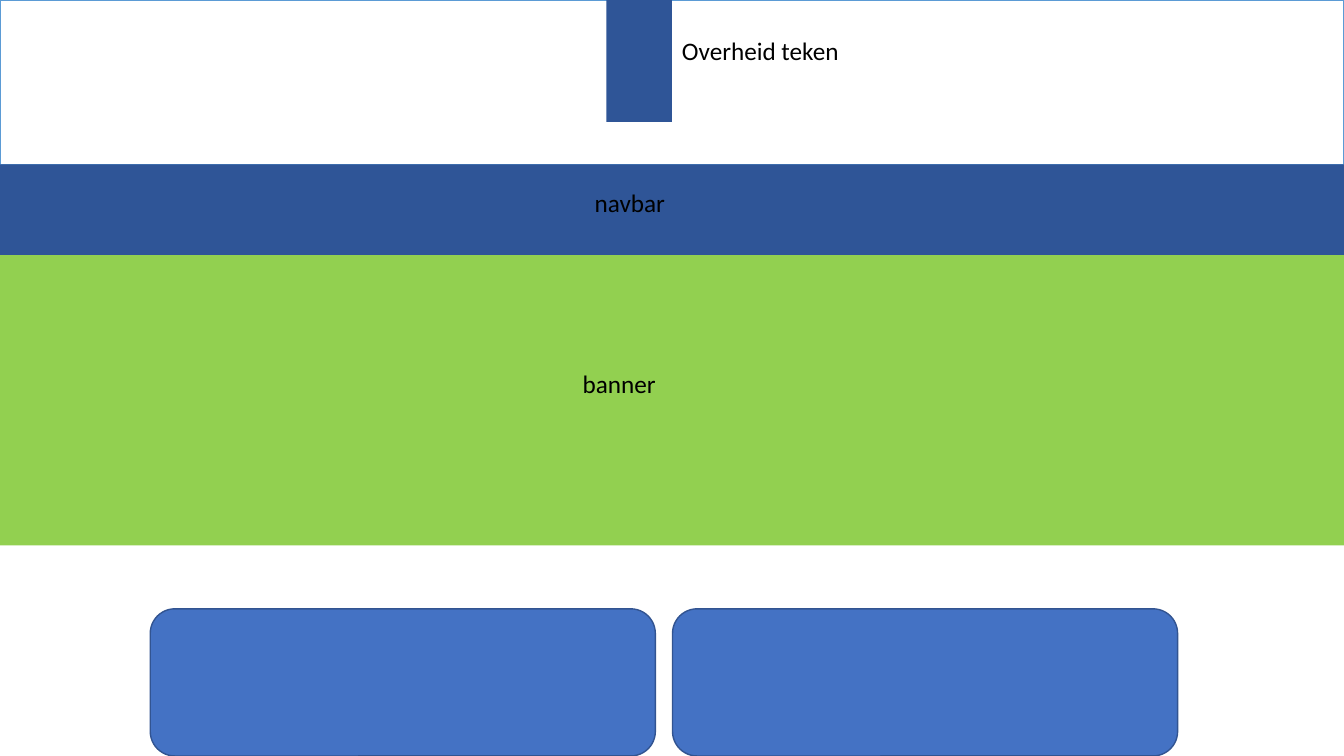
from pptx import Presentation
from pptx.dml.color import RGBColor
from pptx.enum.shapes import MSO_SHAPE as SHAPE
from pptx.util import Inches, Pt

W, H = 13.33, 7.5
NAVY, GREEN, BLUE = "2F5597", "92D050", "4472C4"


def color(hex_string):
    """Turn a hex string into a colour."""
    return RGBColor.from_string(hex_string)


def block(s, box, fill, line=None, kind=SHAPE.RECTANGLE):
    """Draw a filled shape in the box, outlined if a line colour is given."""
    sp = s.shapes.add_shape(kind, *map(Inches, box))
    sp.shadow.inherit = False
    sp.fill.solid()
    sp.fill.fore_color.rgb = color(fill)
    if line:
        sp.line.color.rgb = color(line)
        sp.line.width = Pt(1)
    else:
        sp.line.fill.background()


def label(s, x, y, w, text):
    """Write a one-line label."""
    tf = s.shapes.add_textbox(*map(Inches, (x, y, w, 0.4))).text_frame
    tf.word_wrap = True
    p = tf.paragraphs[0]
    p.text = text
    p.font.size = Pt(18)
    p.font.name = "Calibri"
    p.font.color.rgb = color("000000")


def header(s, x, y, w, h):
    """Draw the header with its emblem hanging left of the centre."""
    emblem_w = 0.65
    center = x + w / 2
    block(s, (x, y, w, h), "FFFFFF", "5B9BD5")
    block(s, (center - emblem_w, y, emblem_w, 1.21), NAVY)
    label(s, center, y + 0.3, 1.99, "Overheid teken")


def band(s, x, y, w, h, fill, text, text_box):
    """Draw a full-width band with a label offset from its corner."""
    dx, dy, text_w = text_box
    block(s, (x, y, w, h), fill)
    label(s, x + dx, y + dy, text_w, text)


def cards(s, x, y, w, h, count=2, gap=0.17):
    """Draw equal rounded cards side by side."""
    card_w = (w - gap * (count - 1)) / count
    for i in range(count):
        left = x + i * (card_w + gap)
        block(s, (left, y, card_w, h), BLUE, "325491", SHAPE.ROUNDED_RECTANGLE)


def main():
    """Build the page wireframe."""
    prs = Presentation()
    prs.slide_width, prs.slide_height = Inches(W), Inches(H)
    s = prs.slides.add_slide(prs.slide_layouts[6])
    header_h, navbar_h, banner_h, cards_h = 1.63, 0.9, 2.88, 1.46
    header(s, 0, 0, W, header_h)
    band(s, 0, header_h, W, navbar_h, NAVY, "navbar", (5.8, 0.18, 1.73))
    band(s, 0, header_h + navbar_h, W, banner_h, GREEN, "banner", (5.68, 1.07, 2.55))
    cards(s, 1.49, H - cards_h, 10.19, cards_h)
    prs.save("out.pptx")


if __name__ == "__main__":
    main()
